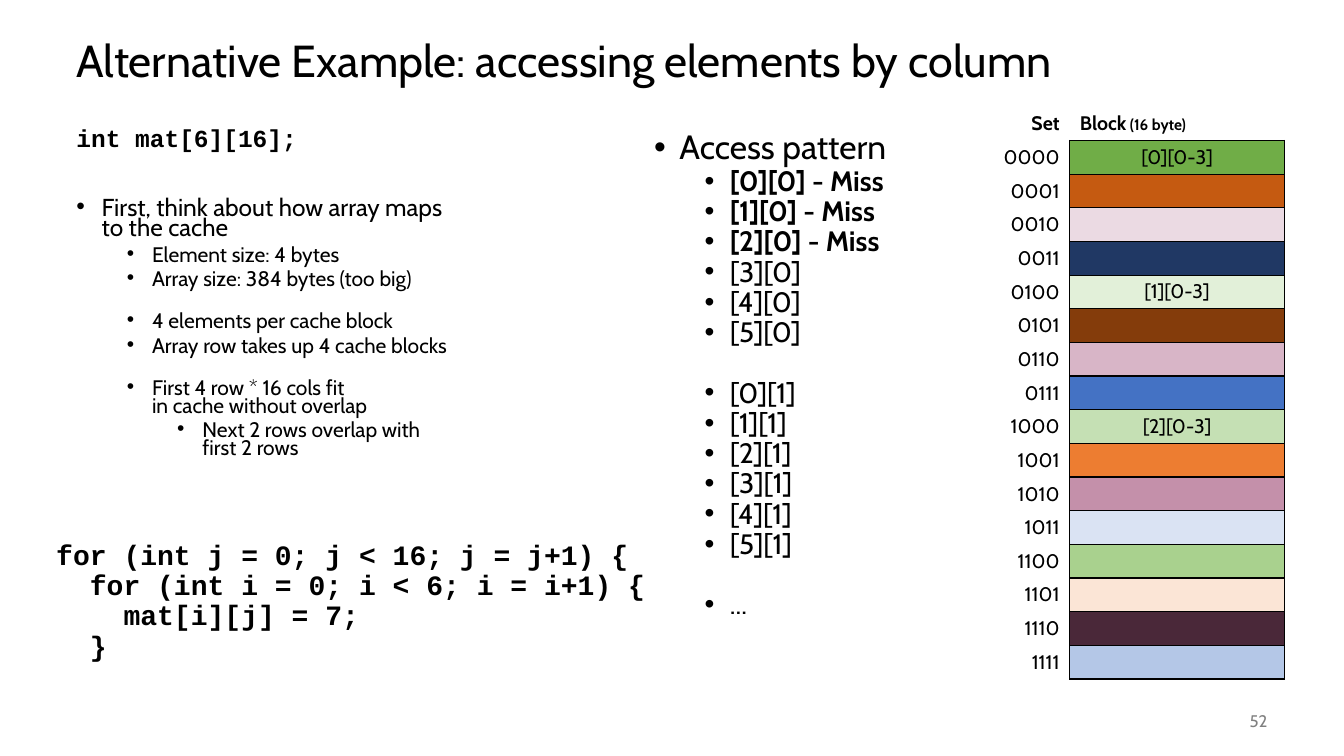
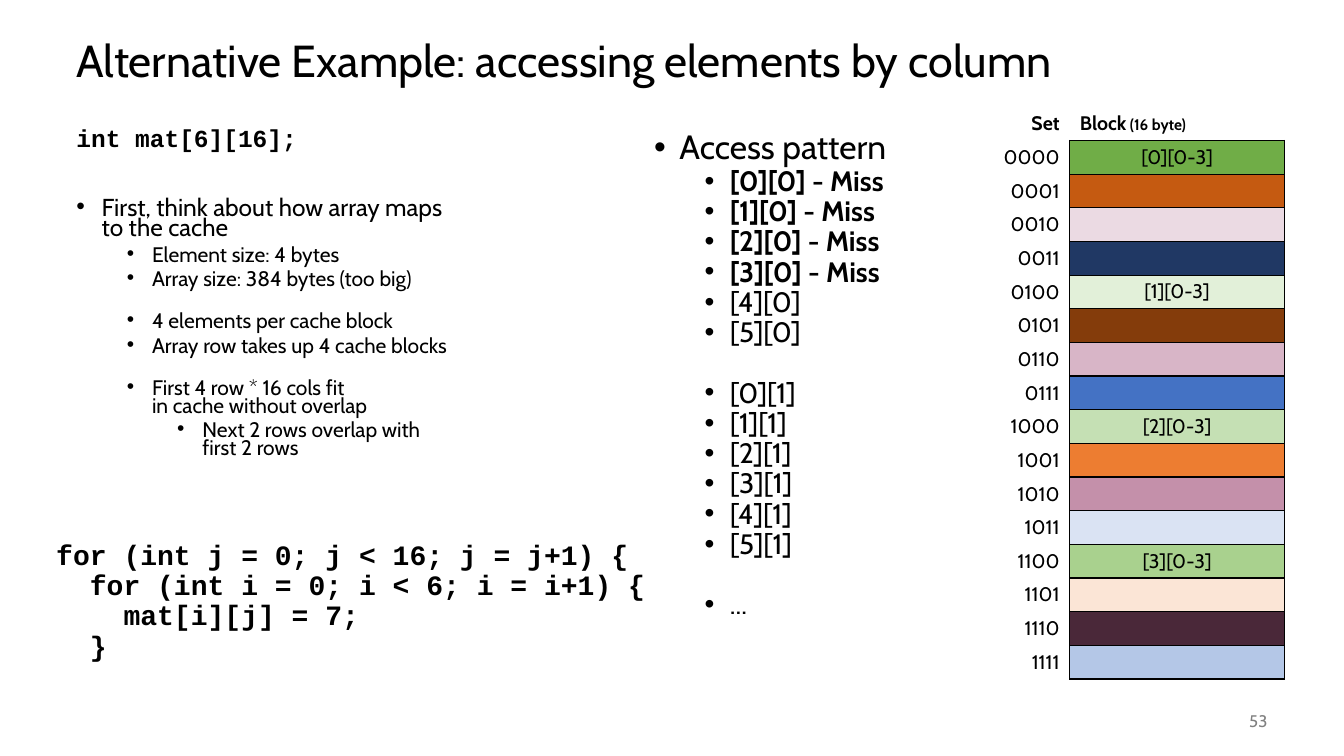
from typing import NamedTuple

from lxml import etree
from pptx import Presentation
from pptx.dml.color import RGBColor
from pptx.enum.text import MSO_ANCHOR, PP_ALIGN
from pptx.oxml.ns import qn
from pptx.util import Inches, Pt

LEFT, CENTER, RIGHT = PP_ALIGN.LEFT, PP_ALIGN.CENTER, PP_ALIGN.RIGHT
TOP, MIDDLE = MSO_ANCHOR.TOP, MSO_ANCHOR.MIDDLE
BODY_FONT, CODE_FONT = "Cabin", "Courier New"
BLACK, WHITE, GRAY = "000000", "FFFFFF", "808080"

TITLE = "Alternative Example: accessing elements by column"
CODE_LINES = (
    "for (int j = 0; j < 16; j = j+1) {",
    "  for (int i = 0; i < 6; i = i+1) {",
    "    mat[i][j] = 7;",
    "  }",
)
ARRAY_ROWS, SHOWN_COLUMNS, BLOCKS_PER_ROW = 6, 2, 4
BLOCK_COLORS = (
    "70AD47", "C55A11", "EBDAE3", "203864",
    "E2F0D9", "843C0B", "D8B5C7", "4472C4",
    "C5E0B4", "ED7D31", "C490AA", "DAE3F3",
    "A9D18E", "FBE5D6", "4A2839", "B4C7E7",
)
ROW_HEIGHT = 0.33


class Line(NamedTuple):
    """One paragraph; a level of None means no bullet."""

    text: str
    size: float
    level: int | None = None
    before: float = 0
    bold: bool = False
    font: str = BODY_FONT


MAPPING_LINES = (
    Line("int mat[6][16];", 17.5, bold=True, font=CODE_FONT),
    Line("First, think about how array maps to the cache", 17.5, 0, 34.5),
    Line("Element size: 4 bytes", 15, 1, 5),
    Line("Array size: 384 bytes (too big)", 15, 1, 5),
    Line("4 elements per cache block", 15, 1, 17.5),
    Line("Array row takes up 4 cache blocks", 15, 1, 5),
    Line("First 4 row * 16 cols fit\nin cache without overlap", 15, 1, 17.5),
    Line("Next 2 rows overlap with first 2 rows", 15, 2, 5),
)


def rgb(value):
    """Turn a hex string into a colour."""
    return RGBColor.from_string(value)


def style_font(font, size, name=BODY_FONT, bold=False, color=BLACK):
    """Set the look of a font."""
    font.name = name
    font.size = Pt(size)
    font.bold = bold
    font.color.rgb = rgb(color)


def add_bullet(paragraph, level):
    """Give a paragraph a hanging bullet at the given level."""
    paragraph.level = level
    properties = paragraph._p.get_or_add_pPr()
    properties.set("marL", str(Inches(0.25 + 0.5 * level)))
    properties.set("indent", str(Inches(-0.25)))
    etree.SubElement(properties, qn("a:buFont"), typeface="Arial")
    etree.SubElement(properties, qn("a:buChar"), char="•")


def add_text(slide, box, lines, spacing=0.9, anchor=TOP, align=LEFT, color=BLACK):
    """Add a text box with one paragraph for each line."""
    shape = slide.shapes.add_textbox(*map(Inches, box))
    frame = shape.text_frame
    frame.word_wrap = True
    frame.vertical_anchor = anchor
    for index, line in enumerate(lines):
        paragraph = frame.add_paragraph() if index else frame.paragraphs[0]
        paragraph.text = line.text
        paragraph.alignment = align
        paragraph.line_spacing = spacing
        if index:
            paragraph.space_before = Pt(line.before)
        if line.level is not None:
            add_bullet(paragraph, line.level)
        style_font(paragraph.font, line.size, line.font, line.bold, color)


def set_borders(cell, sides):
    """Draw black borders on the named sides, in the order L, R, T, B."""
    properties = cell._tc.get_or_add_tcPr()
    for position, side in enumerate(sides):
        border = etree.Element(qn(f"a:ln{side}"), w=str(Pt(1)))
        fill = etree.SubElement(border, qn("a:solidFill"))
        etree.SubElement(fill, qn("a:srgbClr"), val=BLACK)
        properties.insert(position, border)


def fill_cell(cell, text, fill, align, borders="", bold=False):
    """Write and style one table cell, and return its paragraph."""
    cell.fill.solid()
    cell.fill.fore_color.rgb = rgb(fill)
    cell.vertical_anchor = MIDDLE
    set_borders(cell, borders)
    paragraph = cell.text_frame.paragraphs[0]
    paragraph.text = text
    paragraph.alignment = align
    style_font(paragraph.font, 14, bold=bold)
    return paragraph


def add_cache_table(slide, loaded_rows):
    """Add the cache sets, naming the blocks loaded so far."""
    row_count = len(BLOCK_COLORS) + 1
    frame = slide.shapes.add_table(
        row_count, 2, Inches(9.72), Inches(1.06), Inches(3.02), Inches(ROW_HEIGHT * row_count)
    )
    table = frame.table
    table.first_row = table.horz_banding = False
    for column, width in zip(table.columns, (0.89, 2.13)):
        column.width = Inches(width)
    fill_cell(table.cell(0, 0), "Set", WHITE, RIGHT, bold=True)
    heading = fill_cell(table.cell(0, 1), "Block", WHITE, LEFT, "B", bold=True)
    note = heading.add_run()
    note.text = " (16 byte)"
    note.font.size = Pt(11)
    for index, color in enumerate(BLOCK_COLORS):
        array_row, offset = divmod(index, BLOCKS_PER_ROW)
        loaded = offset == 0 and array_row < loaded_rows
        label = f"[{array_row}][0-3]" if loaded else ""
        fill_cell(table.cell(index + 1, 0), f"{index:04b}", WHITE, RIGHT, "R")
        block = table.cell(index + 1, 1)
        fill_cell(block, label, color, CENTER, "LRTB")
        block.margin_top = block.margin_bottom = 0


def access_lines(misses):
    """List the accesses column by column, marking the first misses."""
    lines = [Line("Access pattern", 24, 0)]
    for column in range(SHOWN_COLUMNS):
        for row in range(ARRAY_ROWS):
            missed = column == 0 and row < misses
            text = f"[{row}][{column}]" + (" - Miss" if missed else "")
            before = 21.6 if column and row == 0 else 0
            lines.append(Line(text, 20, 1, before, missed))
    return lines + [Line("...", 20, 1, 21.6)]


def add_access_slide(presentation, number, misses):
    """Add one step of the access example."""
    slide = presentation.slides.add_slide(presentation.slide_layouts[6])
    add_text(slide, (0.66, 0.25, 12, 0.75), [Line(TITLE, 32)], anchor=MIDDLE)
    add_text(slide, (11.67, 6.95, 1, 0.4), [Line(str(number), 12)],
             spacing=1.0, anchor=MIDDLE, align=RIGHT, color=GRAY)
    code = [Line(text, 20, bold=True, font=CODE_FONT) for text in CODE_LINES]
    add_text(slide, (0.46, 5.32, 7.57, 1.4), code)
    add_text(slide, (0.66, 1.25, 3.93, 3.57), MAPPING_LINES, spacing=0.7)
    add_cache_table(slide, misses)
    add_text(slide, (6.39, 1.25, 6.28, 5.5), access_lines(misses))


def main():
    """Build and save the presentation."""
    presentation = Presentation()
    presentation.slide_width = Inches(13.33)
    presentation.slide_height = Inches(7.5)
    for number, misses in ((52, 3), (53, 4)):
        add_access_slide(presentation, number, misses)
    presentation.save("out.pptx")


if __name__ == "__main__":
    main()
